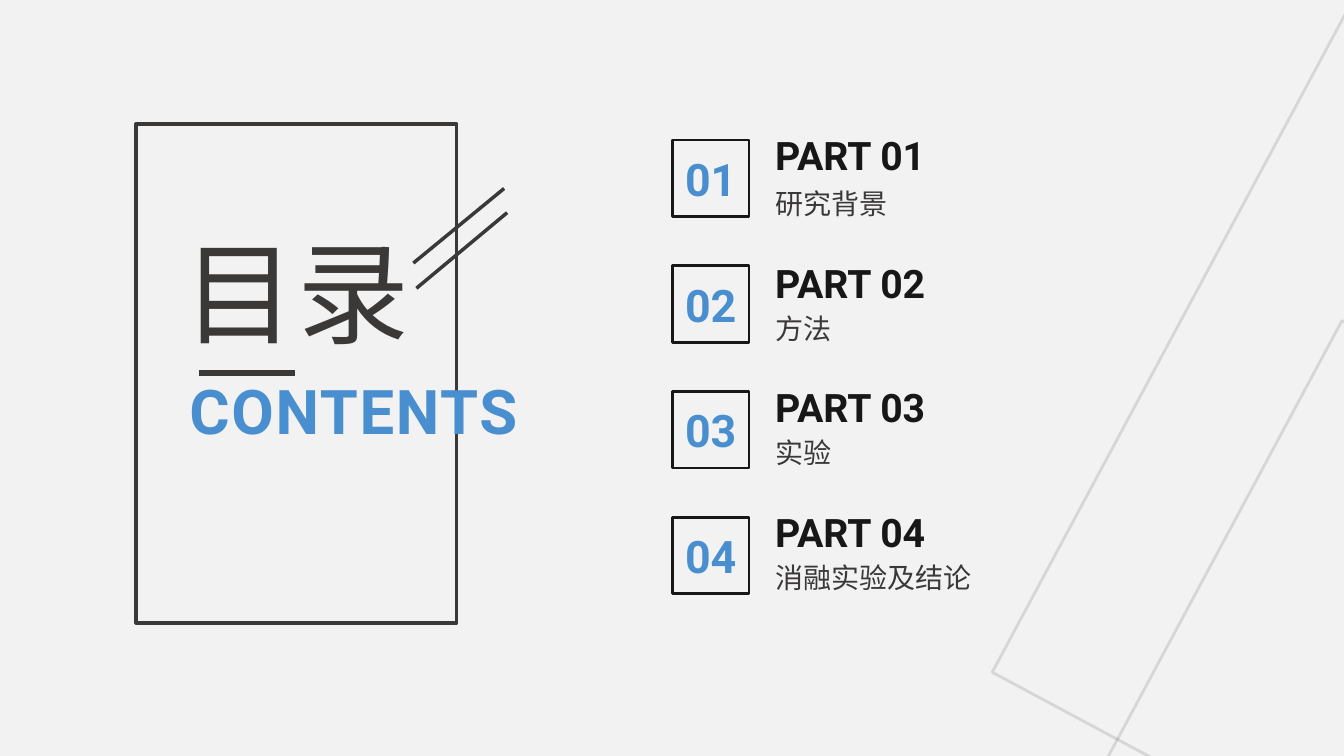
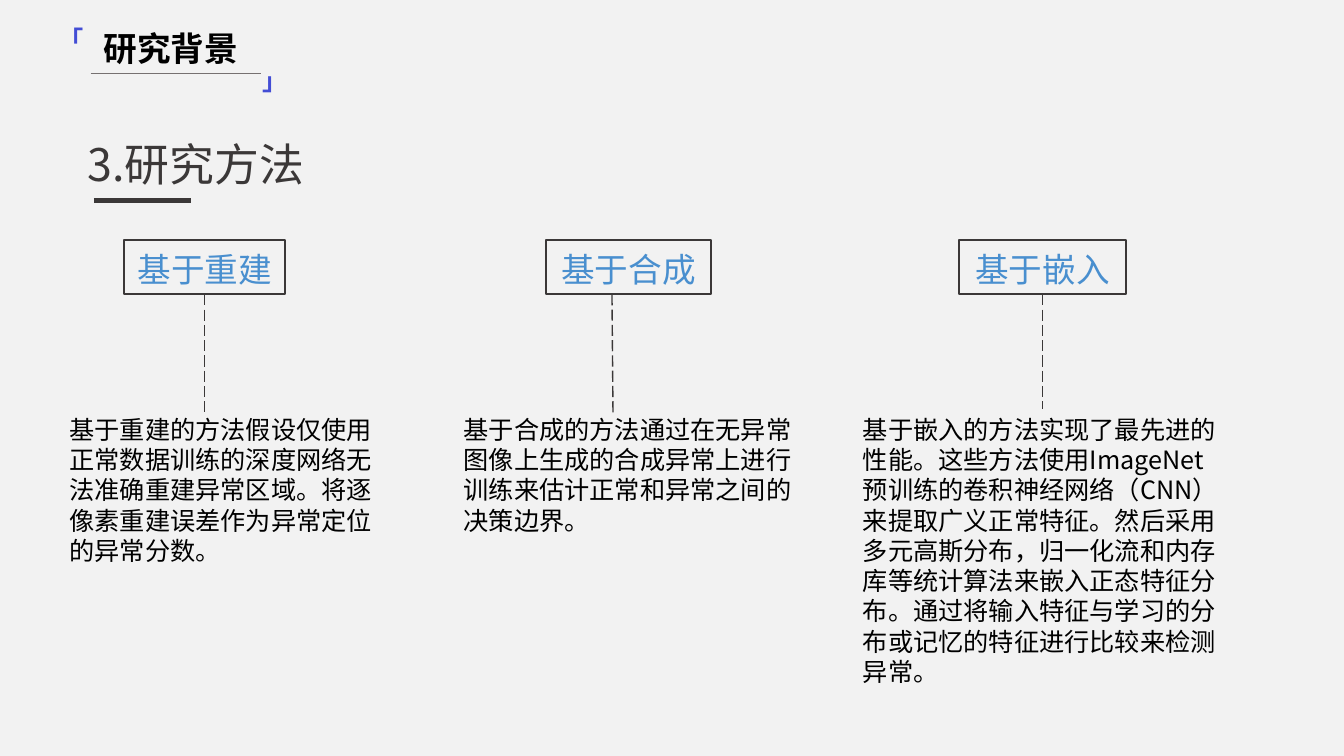
from dataclasses import dataclass, field

from lxml.etree import SubElement
from pptx import Presentation
from pptx.dml.color import RGBColor as Rgb
from pptx.enum.dml import MSO_LINE as Dash
from pptx.enum.shapes import MSO_CONNECTOR as Link, MSO_SHAPE as Shape
from pptx.enum.text import MSO_ANCHOR as Anchor, PP_ALIGN as Align
from pptx.oxml.ns import qn
from pptx.util import Inches, Pt

PARTS = [
    ("01", "研究背景", 1.25),
    ("02", "方法", 2.52),
    ("03", "实验", 3.75),
    ("04", "消融实验及结论", 4.99),
]
METHODS = [
    {
        "label": "基于重建", "frame": (1.23, 1.6), "stem": (2.03, 2.03, 4.11), "body": (0.59, 3.3),
        "text": "基于重建的方法假设仅使用正常数据训练的深度网络无法准确重建异常区域。"
                "将逐像素重建误差作为异常定位的异常分数。",
    },
    {
        "label": "基于合成", "frame": (5.42, 1.63), "stem": (6.07, 6.08, 4.12), "body": (4.5, 3.46),
        "text": "基于合成的方法通过在无异常图像上生成的合成异常上进行训练来估计正常和异常之间的决策边界。",
    },
    {
        "label": "基于嵌入", "frame": (9.51, 1.66), "stem": (10.34, 10.34, 4.06), "body": (8.46, 3.76),
        "text": "基于嵌入的方法实现了最先进的性能。这些方法使用ImageNet预训练的卷积神经网络（CNN）"
                "来提取广义正常特征。然后采用多元高斯分布，归一化流和内存库等统计算法来嵌入正态特征分布。"
                "通过将输入特征与学习的分布或记忆的特征进行比较来检测异常。",
    },
]
ROMAN, HAN = "Roboto", "Noto Sans CJK SC"


def style(size, color, name=HAN, bold=False):
    """Return the font values of one text style."""
    return {"size": Pt(size), "name": name, "bold": bold, "color": color}


@dataclass(frozen=True)
class Theme:
    """Colours and text styles of the deck."""

    paper: str = "F2F2F2"
    ink: str = "3B3838"
    black: str = "181717"
    rule: str = "767171"
    text: dict = field(default_factory=lambda: {
        "cover": style(80, "3B3838"),
        "contents": style(44, "498FCF", ROMAN, True),
        "number": style(32, "498FCF", ROMAN, True),
        "part": style(28, "181717", ROMAN, True),
        "topic": style(20, "3B3838"),
        "section": style(24, "000000", ROMAN, True),
        "bracket": style(18, "434DD5", ROMAN, True),
        "heading": style(32, "3B3838"),
        "label": style(24, "498FCF", ROMAN),
        "body": style(18, "000000"),
    })


THEME = Theme()


def write(frame, words, kind, spacing=None, leading=None, **layout):
    """Fill a text frame with one styled paragraph."""
    for name, value in {"word_wrap": True, **layout}.items():
        setattr(frame, name, value)
    para = frame.paragraphs[0]
    if leading:
        para.line_spacing = Pt(leading)
    span = para.add_run()
    span.text = words
    for name, value in THEME.text[kind].items():
        if name == "color":
            span.font.color.rgb = Rgb.from_string(value)
        else:
            setattr(span.font, name, value)
    props = span.font._element
    SubElement(props, qn("a:ea")).set("typeface", HAN)
    if spacing:
        props.set("spc", str(spacing))
    return para


def add_text(page, place, words, kind, **layout):
    """Add a text box."""
    box = page.shapes.add_textbox(*map(Inches, place))
    write(box.text_frame, words, kind, **layout)


def add_frame(page, place, color, width, words="", kind="", **layout):
    """Add an outlined rectangle, with centred words if given."""
    box = page.shapes.add_shape(Shape.RECTANGLE, *map(Inches, place))
    box.shadow.inherit = False
    box.fill.background()
    box.line.color.rgb = Rgb.from_string(color)
    box.line.width = Pt(width)
    if words:
        margins = dict.fromkeys(("margin_left", "margin_right", "margin_top", "margin_bottom"), 0)
        para = write(box.text_frame, words, kind,
                     **{**margins, "vertical_anchor": Anchor.MIDDLE, **layout})
        para.alignment = Align.CENTER
    return box


def add_line(page, ends, width, color=THEME.ink, dash=None):
    """Add a straight line between two points."""
    line = page.shapes.add_connector(Link.STRAIGHT, *map(Inches, ends))
    line.line.color.rgb = Rgb.from_string(color)
    line.line.width = Pt(width)
    if dash:
        line.line.dash_style = dash
    SubElement(line._element.spPr, qn("a:effectLst"))
    return line


def add_contents(page):
    """Build the table of contents."""
    for left, top in ((11.17, 1.38), (11.09, 4.51)):
        square = add_frame(page, (left, top, 7.51, 7.51), THEME.ink, 2)
        square.rotation = 298.2
        tint = square.line.color._xFill.find(qn("a:srgbClr"))
        SubElement(tint, qn("a:alpha")).set("val", "15000")
    add_frame(page, (1.35, 1.23, 3.18, 4.95), THEME.ink, 2.5)
    add_text(page, (1.78, 3.65, 4.72, 0.84), "CONTENTS", "contents", spacing=120)
    add_line(page, (1.97, 3.7, 2.93, 3.7), 4)
    add_text(page, (1.72, 2.78, 4.16, 0.94), "目录", "cover", spacing=130, leading=52)
    for ends in ((5, 1.87, 4.1, 2.61), (5.03, 2.11, 4.13, 2.86)):
        add_line(page, ends, 2.5)
    side, frame_pitch, topic_pitch = 0.76, 1.247, 1.237
    for row, (number, topic, title_top) in enumerate(PARTS):
        add_frame(page, (6.67, 1.39 + row * frame_pitch, side, side), THEME.black, 2, number, "number")
        add_text(page, (7.59, title_top, 2.25, 0.57), f"PART {number}", "part")
        add_text(page, (7.59, 1.8 + row * topic_pitch, 3.41, 0.44), topic, "topic")


def add_section(page, name, heading):
    """Add the bracketed section name and the heading of a page."""
    add_text(page, (0.93, 0.23, 1.6, 0.5), name, "section")
    add_text(page, (2.51, 0.6, 0.45, 0.4), "」", "bracket")
    add_text(page, (0.48, 0.19, 0.45, 0.4), "「", "bracket")
    add_line(page, (0.9, 0.73, 2.59, 0.73), 0.5, THEME.rule)
    add_line(page, (0.93, 1.99, 1.89, 1.99), 4)
    add_text(page, (0.77, 1.31, 2.51, 0.64), heading, "heading")


def add_methods(page):
    """Build the comparison of methods."""
    add_section(page, "研究背景", "3.研究方法")
    top, height = 2.38, 0.54
    for method in METHODS:
        left, width = method["frame"]
        frame = add_frame(page, (left, top, width, height), THEME.ink, 1.5,
                          method["label"], "label", margin_top=Inches(0.04))
        start, end, bottom = method["stem"]
        stem = add_line(page, (start, top + height, end, bottom), 1, dash=Dash.LONG_DASH)
        if abs(left + width / 2 - start) < 0.02:
            stem.begin_connect(frame, 2)
        body_left, body_width = method["body"]
        add_text(page, (body_left, 4.06, body_width, 1.77), method["text"], "body")


def main():
    """Build and save the deck."""
    deck = Presentation()
    deck.slide_width, deck.slide_height = Inches(13.33), Inches(7.5)
    paper = deck.slide_master.background.fill
    paper.solid()
    paper.fore_color.rgb = Rgb.from_string(THEME.paper)
    for build in (add_contents, add_methods):
        build(deck.slides.add_slide(deck.slide_layouts[6]))
    deck.save("out.pptx")


if __name__ == "__main__":
    main()
